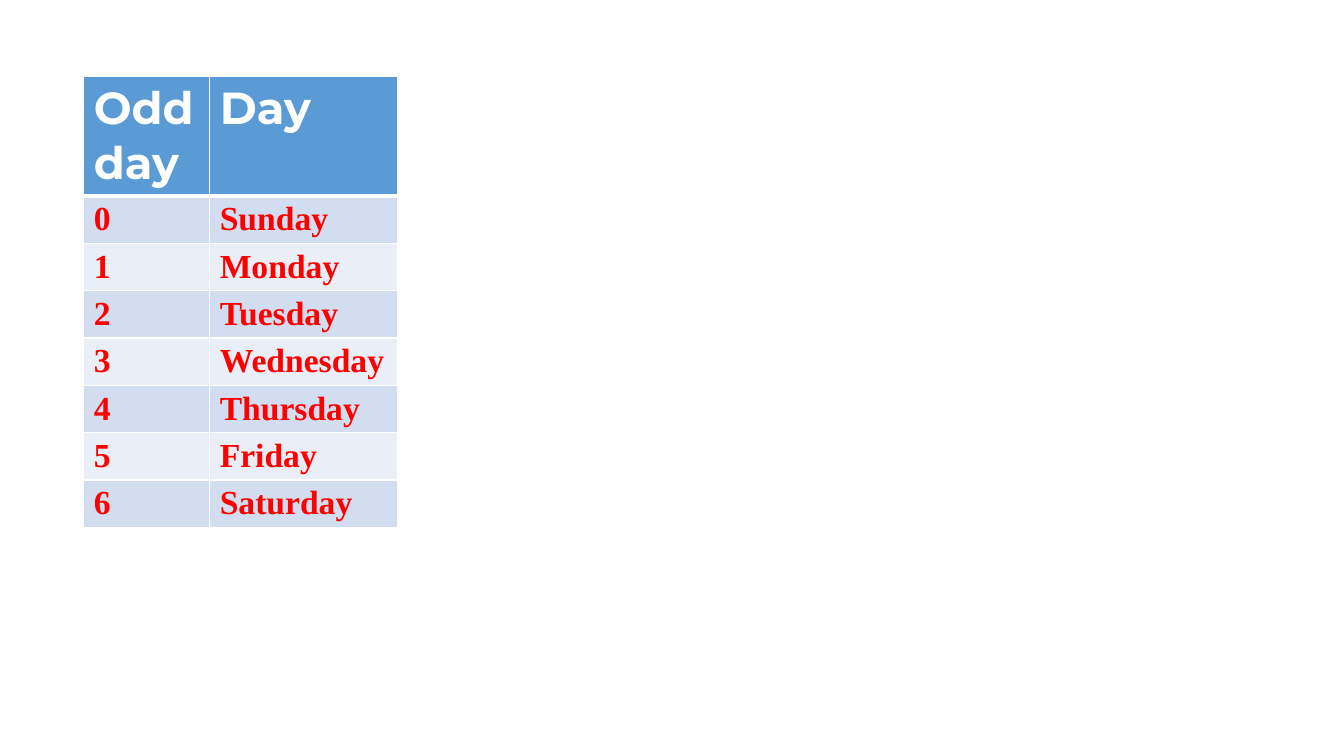
from dataclasses import dataclass

from lxml import etree
from pptx import Presentation
from pptx import util as u
from pptx.dml.color import RGBColor
from pptx.oxml.ns import qn


@dataclass(frozen=True)
class Theme:
    header_fill: str = "5B9BD5"
    bands: tuple = ("D2DEEF", "EAEFF7")
    border: str = "FFFFFF"
    header_text: str = "FFFFFF"
    body_text: str = "FF0000"
    header_font: str = "Montserrat"
    body_font: str = "Times New Roman"
    header_size: int = 32
    body_size: int = 24
    thin: int = 1
    thick: int = 3


THEME = Theme()
SLIDE_SIZE = (13.33, 7.5)
TABLE_ORIGIN = (0.83, 0.76)
COLUMN_WIDTHS = (1.25, 1.86)
HEADER_HEIGHT, BODY_HEIGHT = 1.09, 0.47
HEADINGS = ("Odd day", "Day")
DAYS = ("Sunday", "Monday", "Tuesday", "Wednesday",
        "Thursday", "Friday", "Saturday")


def set_borders(cell, top, bottom):
    tcPr = cell._tc.get_or_add_tcPr()
    widths = {"L": THEME.thin, "R": THEME.thin, "T": top, "B": bottom}
    for side, width in widths.items():
        ln = etree.SubElement(tcPr, qn(f"a:ln{side}"), w=str(u.Pt(width)))
        fill = etree.SubElement(ln, qn("a:solidFill"))
        etree.SubElement(fill, qn("a:srgbClr"), val=THEME.border)


def set_fill(cell, color):
    cell.fill.solid()
    cell.fill.fore_color.rgb = RGBColor.from_string(color)


def add_text(cell, text, font, size, color):
    r = cell.text_frame.paragraphs[0].add_run()
    r.text = text
    r.font.name = font
    r.font.size = u.Pt(size)
    r.font.bold = True
    r.font.color.rgb = RGBColor.from_string(color)


def fill_header(cell, text):
    set_borders(cell, THEME.thin, THEME.thick)
    set_fill(cell, THEME.header_fill)
    add_text(cell, text, THEME.header_font, THEME.header_size, THEME.header_text)


def fill_body(cell, text, number):
    set_borders(cell, THEME.thin if number else THEME.thick, THEME.thin)
    set_fill(cell, THEME.bands[number % 2])
    add_text(cell, text, THEME.body_font, THEME.body_size, THEME.body_text)


def add_day_table(s):
    heights = [HEADER_HEIGHT] + [BODY_HEIGHT] * len(DAYS)
    box = (*TABLE_ORIGIN, sum(COLUMN_WIDTHS), sum(heights))
    table = s.shapes.add_table(len(heights), len(COLUMN_WIDTHS),
                               *map(u.Inches, box)).table
    for column, width in zip(table.columns, COLUMN_WIDTHS):
        column.width = u.Inches(width)
    for row, height in zip(table.rows, heights):
        row.height = u.Inches(height)
    for col, heading in enumerate(HEADINGS):
        fill_header(table.cell(0, col), heading)
    for number, day in enumerate(DAYS):
        for col, value in enumerate((str(number), day)):
            fill_body(table.cell(number + 1, col), value, number)


def main():
    prs = Presentation()
    prs.slide_width, prs.slide_height = map(u.Inches, SLIDE_SIZE)
    s = prs.slides.add_slide(prs.slide_layouts[6])
    add_day_table(s)
    prs.save("out.pptx")


if __name__ == "__main__":
    main()
